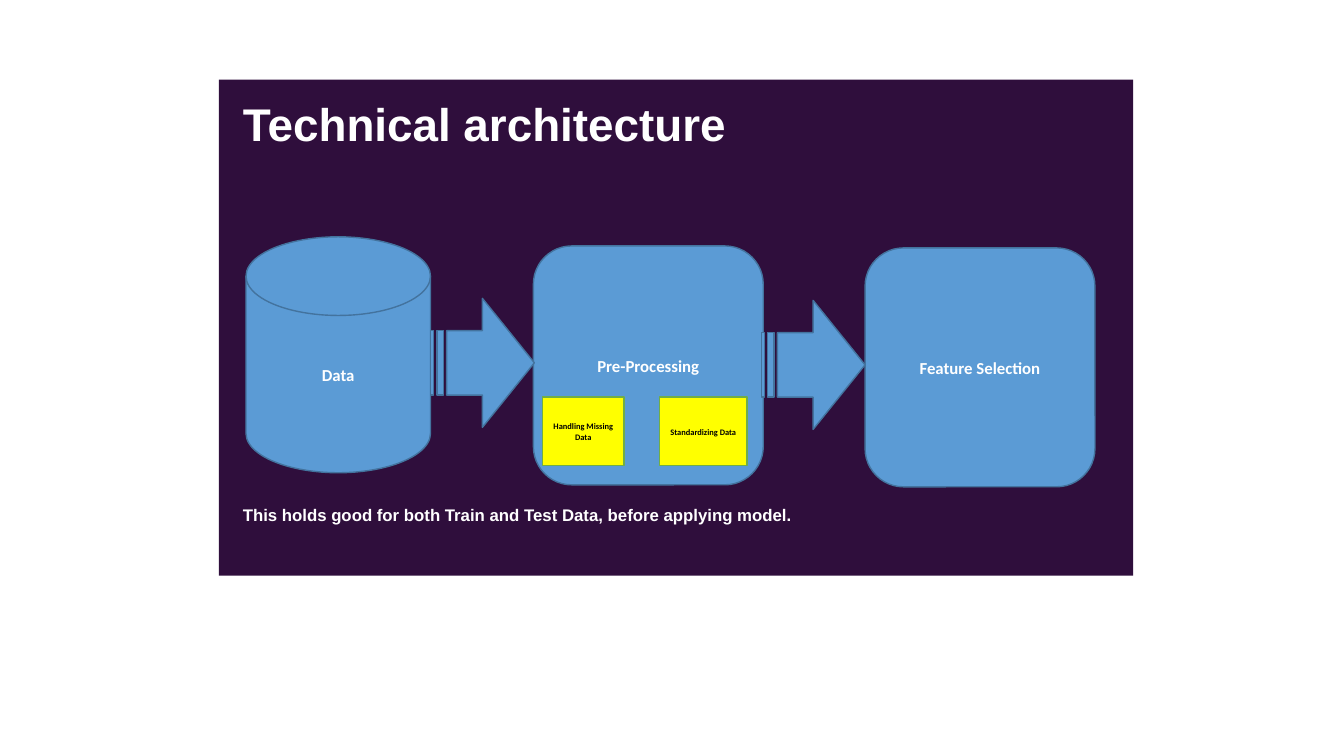
"""Builds the technical architecture slide: data, pre-processing, feature selection."""
import pptx
import pptx.util
import pptx.dml.color
import pptx.enum.shapes
import pptx.enum.text

SHAPE = pptx.enum.shapes.MSO_SHAPE
ALIGN = pptx.enum.text.PP_ALIGN
ANCHOR = pptx.enum.text.MSO_ANCHOR
COLORS = {
    "panel": "2F0E3C",
    "stage": "5B9BD5",
    "stage_edge": "43739E",
    "step": "FFFF00",
    "step_edge": "70AD47",
    "light": "FFFFFF",
    "dark": "000000",
}


class ArchitectureSlide:
    """Holds the style and the current slide; lengths are grid columns and rows."""

    CELL = 0.1

    def __init__(self, deck):
        self.slide = deck.slides.add_slide(deck.slide_layouts[5])

    def box(self, left, top, width, height):
        return [pptx.util.Inches(cells * self.CELL) for cells in (left, top, width, height)]

    def color(self, name):
        return pptx.dml.color.RGBColor.from_string(COLORS[name])

    def add_text(self, frame, text, size, font, color, align=ALIGN.LEFT, anchor=ANCHOR.TOP):
        frame.word_wrap = True
        frame.auto_size = pptx.enum.text.MSO_AUTO_SIZE.NONE
        frame.vertical_anchor = anchor
        paragraph = frame.paragraphs[0]
        paragraph.alignment = align
        run = paragraph.add_run()
        run.text = text
        run.font.size = pptx.util.Pt(size)
        run.font.name = font
        run.font.bold = True
        run.font.color.rgb = self.color(color)
        return paragraph

    def title(self, text, place, size):
        heading = self.slide.shapes.title
        heading.left, heading.top, heading.width, heading.height = self.box(*place)
        self.add_text(heading.text_frame, text, size, "Arial", "light")

    def note(self, text, place, size):
        caption = self.slide.shapes.add_textbox(*self.box(*place))
        self.add_text(caption.text_frame, text, size, "Arial", "light")

    def shape(self, kind, place, fill, edge=None):
        figure = self.slide.shapes.add_shape(kind, *self.box(*place))
        figure.shadow.inherit = False
        figure.fill.solid()
        figure.fill.fore_color.rgb = self.color(fill)
        if edge:
            figure.line.color.rgb = self.color(edge)
            figure.line.width = pptx.util.Pt(1)
        else:
            figure.line.fill.background()
        return figure

    def panel(self, place):
        backdrop = self.shape(SHAPE.RECTANGLE, place, "panel")
        self.slide.shapes.element.insert(2, backdrop.element)

    def label(self, figure, text, size, color):
        paragraph = self.add_text(figure.text_frame, text, size, "Calibri", color,
                                  ALIGN.CENTER, ANCHOR.MIDDLE)
        paragraph.line_spacing = 1.06
        paragraph.space_after = pptx.util.Pt(8)

    def stage(self, kind, text, place):
        self.label(self.shape(kind, place, "stage", "stage_edge"), text, 12, "light")

    def step(self, text, place):
        self.label(self.shape(SHAPE.RECTANGLE, place, "step", "step_edge"), text, 6, "dark")

    def arrow(self, left, top):
        self.shape(SHAPE.STRIPED_RIGHT_ARROW, (left, top, 10.3, 12.8), "stage", "stage_edge")


def main():
    deck = pptx.Presentation()
    deck.slide_width = pptx.util.Inches(13.33)
    deck.slide_height = pptx.util.Inches(7.5)

    architecture = ArchitectureSlide(deck)
    architecture.panel((21.7, 7.9, 90.7, 49.2))
    architecture.title("Technical architecture", (23.1, 9, 77, 11.7), 32.7)

    process = SHAPE.FLOWCHART_ALTERNATE_PROCESS
    architecture.stage(SHAPE.FLOWCHART_MAGNETIC_DISK, "Data", (24.4, 23.5, 18.3, 23.4))
    architecture.stage(process, "Pre-Processing", (52.9, 24.4, 22.8, 23.7))
    architecture.arrow(42.7, 29.6)
    architecture.step("Handling Missing Data", (53.8, 39.4, 8.1, 6.8))
    architecture.step("Standardizing Data", (65.4, 39.4, 8.7, 6.8))
    architecture.arrow(75.5, 29.8)
    architecture.stage(process, "Feature Selection", (85.8, 24.6, 22.8, 23.7))

    architecture.note("This holds good for both Train and Test Data, before applying model.",
                      (23.1, 49.6, 77, 7.1), 12)
    deck.save("out.pptx")


if __name__ == "__main__":
    main()
